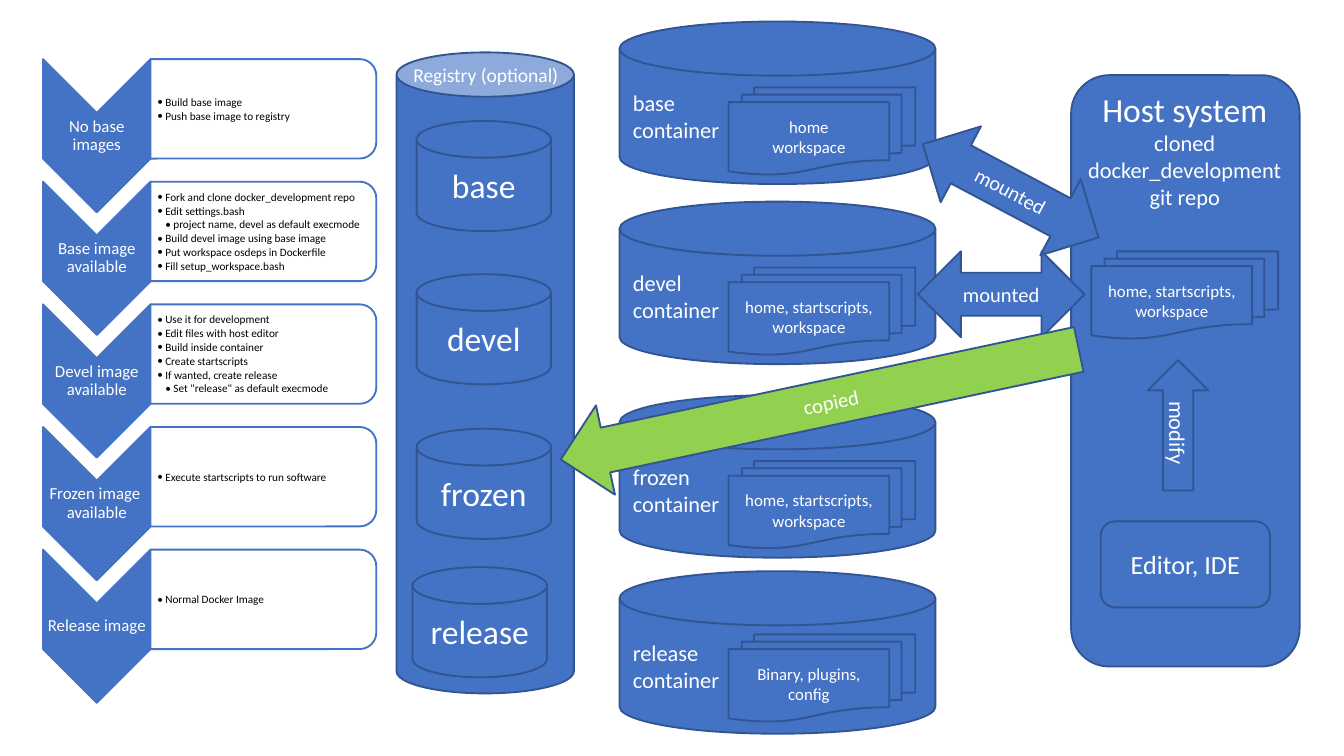
"""Build a slide showing a container workflow from base image to release."""
from lxml.etree import SubElement
from pptx import Presentation
from pptx.dml.color import RGBColor
from pptx.enum.shapes import MSO_SHAPE as SHAPE
from pptx.enum.text import MSO_ANCHOR as ANCHOR, PP_ALIGN as ALIGN
from pptx.oxml.ns import qn
from pptx.util import Inches, Pt

rgb = RGBColor.from_string
BLUE, EDGE, GREEN, WHITE, BLACK = "4472C4", "325491", "92D050", "FFFFFF", "000000"


def write(sp, text, size=9, color=WHITE, align=ALIGN.CENTER, anchor=ANCHOR.MIDDLE,
          spacing=None, after=0, insets=None, bullets=False):
    tf = sp.text_frame
    tf.word_wrap = True
    tf.vertical_anchor = anchor
    if insets:
        tf.margin_left, tf.margin_top, tf.margin_right, tf.margin_bottom = map(Inches, insets)
    for i, line in enumerate(text.split("\n")):
        p = tf.add_paragraph() if i else tf.paragraphs[0]
        p.text = line.lstrip("\t")
        p.alignment = align
        p.space_after = Pt(after)
        if spacing:
            p.line_spacing = spacing
        if bullets:
            p.level = 2 if line.startswith("\t") else 1
            pPr = p._p.get_or_add_pPr()
            pPr.set("marL", str(Inches(0.06 * p.level)))
            pPr.set("indent", str(Inches(-0.06)))
            SubElement(pPr, qn("a:buFont")).set("typeface", "Calibri")
            SubElement(pPr, qn("a:buChar")).set("char", "•")
        for r in p.runs:
            r.font.size = Pt(size)
            r.font.name = "Calibri"
            r.font.color.rgb = rgb(color)
        for br in p._p.findall(qn("a:br")):
            SubElement(br, qn("a:rPr")).set("sz", str(int(size * 100)))


def draw(kind, x, y, w, h, text="", fill=BLUE, line=EDGE, rotation=0, **fmt):
    box = [Inches(v) for v in (x, y, w, h)]
    if kind is None:
        sp = s.shapes.add_textbox(*box)
    else:
        sp = s.shapes.add_shape(kind, *box)
        sp.shadow.inherit = False
        sp.fill.solid()
        sp.fill.fore_color.rgb = rgb(fill)
        sp.line.color.rgb = rgb(line)
        sp.line.width = Pt(1)
        sp.rotation = rotation
    if text:
        write(sp, text, **fmt)
    return sp


prs = Presentation()
prs.slide_width, prs.slide_height = Inches(10), Inches(10 * 9 / 16)
s = prs.slides.add_slide(prs.slide_layouts[6])

draw(SHAPE.ROUNDED_RECTANGLE, 7.97, 0.56, 1.7, 4.4)
host = draw(None, 7.99, 0.61, 1.65, 1.22, "Host system\vcloned\vdocker_development git repo",
            size=12, anchor=ANCHOR.TOP)
host.text_frame.paragraphs[0].runs[0].font.size = Pt(18)

scripts = "home, startscripts,\vworkspace"
containers = [
    ("base", 0.16, 0.65, "home\vworkspace"),
    ("devel", 1.5, 1.99, scripts),
    ("frozen", 2.94, 3.43, scripts),
    ("release", 4.25, 4.72, "Binary, plugins, config"),
]
for name, top, doc_top, content in containers:
    draw(SHAPE.FLOWCHART_MAGNETIC_DISK, 4.61, top, 2.35, 1.21, name + "\vcontainer",
         size=12, align=ALIGN.LEFT)
    draw(SHAPE.FLOWCHART_MULTIDOCUMENT, 5.42, doc_top, 1.39, 0.65, content)
draw(SHAPE.FLOWCHART_MULTIDOCUMENT, 8.12, 1.87, 1.39, 0.65, scripts)

draw(SHAPE.LEFT_RIGHT_ARROW, 6.78, 1.1, 1.48, 0.64, "mounted", rotation=28, size=11)
draw(SHAPE.LEFT_RIGHT_ARROW, 6.83, 1.87, 1.24, 0.64, "mounted", size=11)

steps = [
    ("No base images", "Build base image\nPush base image to registry"),
    ("Base image available",
     "Fork and clone docker_development repo\nEdit settings.bash\n"
     "\tproject name, devel as default execmode\nBuild devel image using base image\n"
     "Put workspace osdeps in Dockerfile\nFill setup_workspace.bash"),
    ("Devel image available",
     "Use it for development\nEdit files with host editor\nBuild inside container\n"
     "Create startscripts\nIf wanted, create release\n"
     "\tSet \"release\" as default execmode"),
    ("Frozen image \vavailable", "Execute startscripts to run software"),
    ("Release image", "Normal Docker Image"),
]
for i, (state, tasks) in enumerate(steps):
    top = 0.61 + i * 3.65 / 4
    draw(SHAPE.CHEVRON, 0.15, top, 1.14, 0.8, line=BLUE, rotation=90)
    draw(None, 0.32, top + 0.23, 0.8, 0.34, state, spacing=0.9, insets=[0.01] * 4)
    draw(SHAPE.ROUND_2_SAME_RECTANGLE, 1.59, top - 0.64, 0.74, 1.68,
         fill=WHITE, line=BLUE, rotation=90)
    draw(None, 1.12, top - 0.13, 1.65, 0.67, tasks, size=6, color=BLACK, align=ALIGN.LEFT,
         spacing=0.9, after=0.9, insets=(0.05, 0, 0, 0), bullets=True)

draw(SHAPE.CAN, 2.95, 0.39, 1.32, 4.77)
draw(None, 2.8, 0.42, 1.63, 0.34, "Registry (optional)", size=10.5, anchor=ANCHOR.TOP)
images = [("base", 3.1, 0.9), ("devel", 3.1, 2.04), ("frozen", 3.1, 3.19), ("release", 3.07, 4.22)]
for name, left, top in images:
    draw(SHAPE.FLOWCHART_MAGNETIC_DISK, left, top, 1, 0.82, name, size=18)

draw(SHAPE.ROUNDED_RECTANGLE, 8.19, 3.88, 1.26, 0.64, "Editor, IDE", size=14)
draw(SHAPE.LEFT_ARROW, 8.28, 2.94, 0.97, 0.45, "modify", rotation=90, size=12)
draw(SHAPE.LEFT_ARROW, 4.13, 2.67, 3.94, 0.68, "copied", fill=GREEN, rotation=348, size=11)

prs.save("out.pptx")
